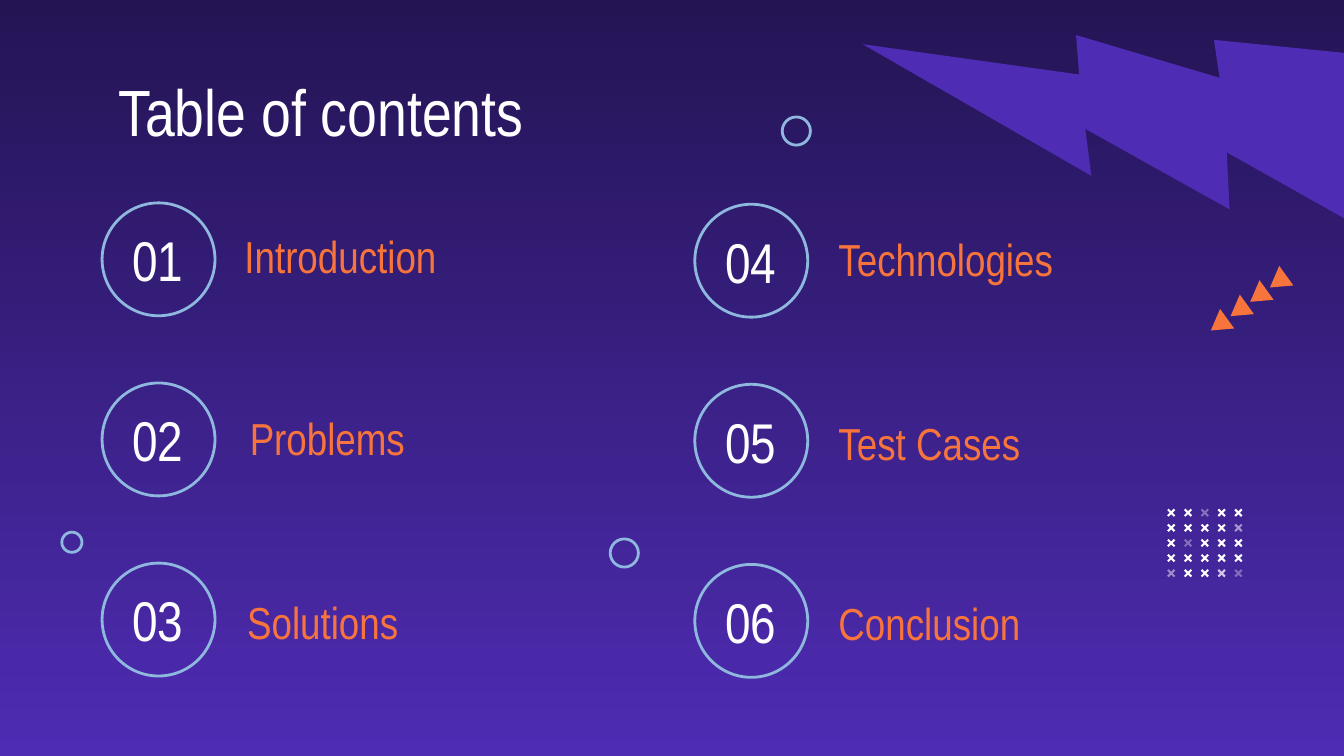
from dataclasses import dataclass

from lxml.etree import SubElement
from pptx import Presentation
from pptx.dml.color import RGBColor
from pptx.enum.shapes import MSO_SHAPE
from pptx.enum.text import MSO_ANCHOR, MSO_AUTO_SIZE, PP_ALIGN
from pptx.oxml.ns import qn
from pptx.util import Inches, Pt


@dataclass(frozen=True)
class Theme:
    night: RGBColor = RGBColor.from_string("241454")
    violet: RGBColor = RGBColor.from_string("4E2CB3")
    orange: RGBColor = RGBColor.from_string("F7743C")
    sky: RGBColor = RGBColor.from_string("8EB8DE")
    white: RGBColor = RGBColor.from_string("FFFFFF")
    font: str = "Arial Narrow"
    title_size: int = 35
    number_size: int = 30
    label_size: int = 24
    outline: float = 1.5
    inset: float = 0.1


@dataclass(frozen=True)
class Box:
    left: float
    top: float
    width: float
    height: float

    def lengths(self) -> tuple:
        return tuple(Inches(value) for value in (self.left, self.top, self.width, self.height))


@dataclass(frozen=True)
class Grid:
    left: float
    top: float
    column_step: float
    row_step: float
    column_drop: float = 0

    def cell(self, column: int, row: int, width: float, height: float,
             right: float = 0, down: float = 0) -> Box:
        return Box(self.left + column * self.column_step + right,
                   self.top + row * self.row_step + column * self.column_drop + down,
                   width, height)


@dataclass(frozen=True)
class Entry:
    label: str
    right: float
    down: float


THEME = Theme()
SLIDE_WIDTH = 10
SLIDE_HEIGHT = SLIDE_WIDTH * 9 / 16
CONTENTS = Grid(0.76, 1.51, 4.41, 1.34, 0.01)
CROSSES = Grid(8.68, 3.78, 0.5 / 4, 0.45 / 4)
ARROWS = Grid(8.98, 2.34, 0.44 / 3, 0, -0.32 / 3)
ROWS = 3
ENTRIES = (
    Entry("Introduction", 0.96, 0.21),
    Entry("Problems", 1.0, 0.22),
    Entry("Solutions", 0.98, 0.25),
    Entry("Technologies", 0.97, 0.22),
    Entry("Test Cases", 0.97, 0.25),
    Entry("Conclusion", 0.97, 0.25),
)
RINGS = (Box(0.46, 3.96, 0.15, 0.15), Box(5.82, 0.87, 0.21, 0.21), Box(4.54, 4.01, 0.21, 0.21))
CROSS_COUNT = 5
FADED_CROSSES = {(2, 0): 36, (4, 1): 53, (1, 2): 34, (0, 4): 48, (3, 4): 75, (4, 4): 33}


def add_filled(slide, kind: MSO_SHAPE, box: Box, color: RGBColor, rotation: float,
               opacity: int = 100):
    shape = slide.shapes.add_shape(kind, *box.lengths())
    shape.shadow.inherit = False
    shape.rotation = rotation
    shape.fill.solid()
    shape.fill.fore_color.rgb = color
    shape.line.fill.background()
    if opacity < 100:
        color_element = shape._element.spPr.find(qn("a:solidFill"))[0]
        SubElement(color_element, qn("a:alpha")).set("val", str(opacity * 1000))
    return shape


def add_ring(slide, box: Box) -> None:
    ring = slide.shapes.add_shape(MSO_SHAPE.OVAL, *box.lengths())
    ring.shadow.inherit = False
    ring.fill.background()
    ring.line.color.rgb = THEME.sky
    ring.line.width = Pt(THEME.outline)


def write_text(shape, text: str, size: int, color: RGBColor,
               alignment: PP_ALIGN = PP_ALIGN.LEFT,
               anchor: MSO_ANCHOR = MSO_ANCHOR.MIDDLE) -> None:
    frame = shape.text_frame
    frame.text = text
    frame.word_wrap = True
    frame.auto_size = MSO_AUTO_SIZE.NONE
    frame.vertical_anchor = anchor
    frame.margin_left = frame.margin_right = Inches(THEME.inset)
    frame.margin_top = frame.margin_bottom = Inches(THEME.inset)
    paragraph = frame.paragraphs[0]
    paragraph.alignment = alignment
    paragraph.font.name = THEME.font
    paragraph.font.size = Pt(size)
    paragraph.font.color.rgb = color


def paint_background(slide) -> None:
    fill = slide.background.fill
    fill.gradient()
    fill.gradient_angle = 270
    for stop, color, position in zip(fill.gradient_stops, (THEME.night, THEME.violet), (0, 1)):
        stop.color.rgb = color
        stop.position = position


def add_title(slide) -> None:
    title = slide.shapes.title
    title.left, title.top, title.width, title.height = Box(0.78, 0.43, 8.43, 0.64).lengths()
    write_text(title, "Table of contents", THEME.title_size, THEME.white, anchor=MSO_ANCHOR.TOP)


def add_bolt(slide) -> None:
    bolt = add_filled(slide, MSO_SHAPE.LIGHTNING_BOLT, Box(7, -0.68, 3.17, 3.17),
                      THEME.violet, 59.9)
    bolt._element.spPr.find(qn("a:xfrm")).set("flipH", "1")


def add_entry(slide, index: int, entry: Entry) -> None:
    column, row = divmod(index, ROWS)
    add_ring(slide, CONTENTS.cell(column, row, 0.84, 0.84))
    number_box = CONTENTS.cell(column, row, 0.89, 0.96, right=-0.03, down=-0.06)
    number = slide.shapes.add_textbox(*number_box.lengths())
    write_text(number, f"{index + 1:02}", THEME.number_size, THEME.white, PP_ALIGN.CENTER)
    label_box = CONTENTS.cell(column, row, 3.41, 0.37, entry.right, entry.down)
    label = slide.shapes.add_textbox(*label_box.lengths())
    write_text(label, entry.label, THEME.label_size, THEME.orange)


def add_crosses(slide) -> None:
    for row in range(CROSS_COUNT):
        for column in range(CROSS_COUNT):
            cross = add_filled(slide, MSO_SHAPE.CROSS, CROSSES.cell(column, row, 0.07, 0.07),
                               THEME.white, 315, FADED_CROSSES.get((column, row), 100))
            cross.adjustments[0] = 0.39


def add_arrows(slide) -> None:
    for column in reversed(range(4)):
        add_filled(slide, MSO_SHAPE.ISOSCELES_TRIANGLE, ARROWS.cell(column, 0, 0.18, 0.15),
                   THEME.orange, 234.2)


def main() -> None:
    presentation = Presentation()
    presentation.slide_width = Inches(SLIDE_WIDTH)
    presentation.slide_height = Inches(SLIDE_HEIGHT)
    slide = presentation.slides.add_slide(presentation.slide_layouts.get_by_name("Title Only"))
    paint_background(slide)
    add_title(slide)
    add_bolt(slide)
    for index, entry in enumerate(ENTRIES):
        add_entry(slide, index, entry)
    add_crosses(slide)
    for ring_box in RINGS:
        add_ring(slide, ring_box)
    add_arrows(slide)
    presentation.save("out.pptx")


if __name__ == "__main__":
    main()
